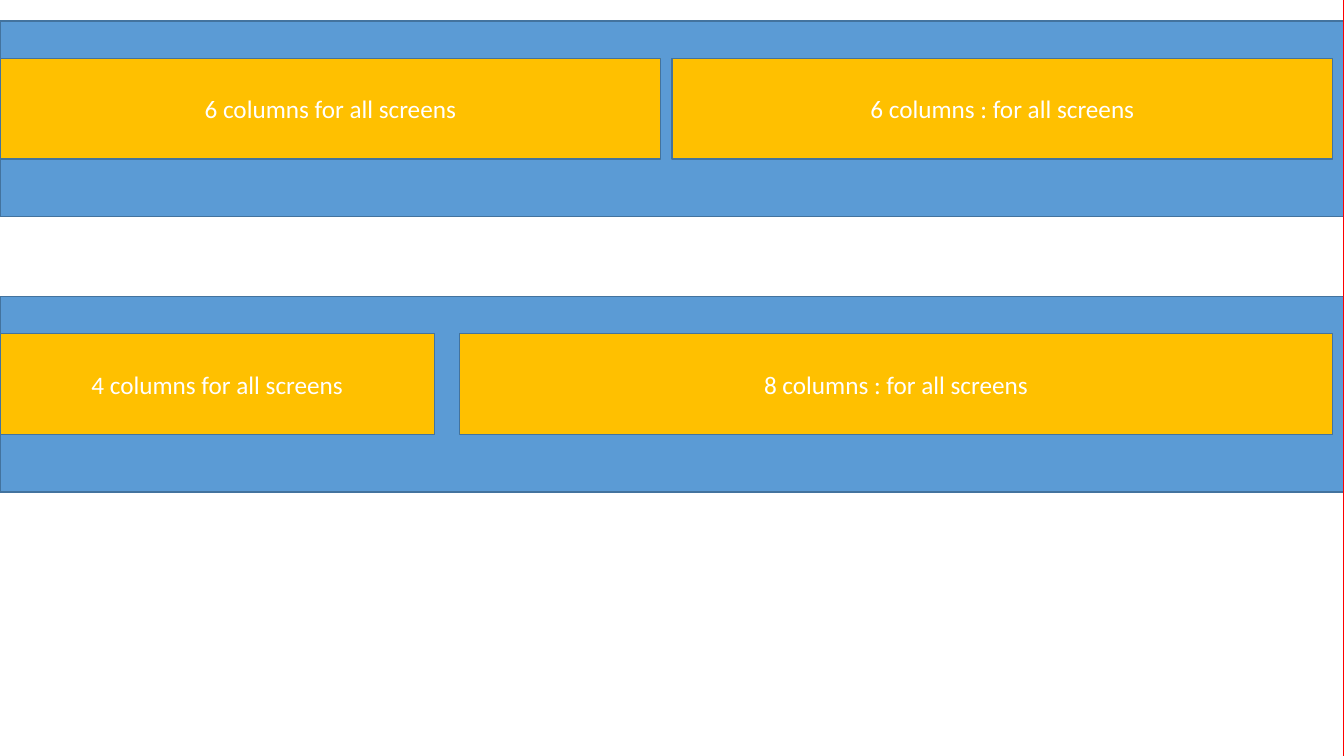
from pptx import Presentation
from pptx import util as u
from pptx.dml.color import RGBColor
from pptx.enum import shapes, text

SLIDE_WIDTH, SLIDE_HEIGHT = 13.333, 7.5
COLUMN = SLIDE_WIDTH / 12
BAND_HEIGHT, CELL_HEIGHT, CELL_DROP = 1.94, 1, 0.37
FIRST_BAND_TOP, BAND_PITCH = 0.21, 2.73
COLORS = {"band": "5B9BD5", "cell": "FFC000", "outline": "43739E",
          "label": "FFFFFF", "frame": "FF0000"}
GRID_ROWS = [
    [(0, 5.9, "6 columns for all screens"), (6, 5.9, "6 columns : for all screens")],
    [(0, 3.88, "4 columns for all screens"), (4.1, 7.8, "8 columns : for all screens")],
]


def color(name):
    """Return the named palette colour."""
    return RGBColor.from_string(COLORS[name])


def add_box(slide, left, top, width, height, fill=None, outline="outline"):
    """Add an outlined rectangle, measured in inches."""
    box = slide.shapes.add_shape(
        shapes.MSO_SHAPE.RECTANGLE,
        *(u.Inches(length) for length in (left, top, width, height)))
    box.shadow.inherit = False
    if fill:
        box.fill.solid()
        box.fill.fore_color.rgb = color(fill)
    else:
        box.fill.background()
    box.line.color.rgb = color(outline)
    box.line.width = u.Pt(1)
    return box


def write(box, wording, size=18, font="Calibri", ink="label"):
    """Write centred text in a box."""
    frame = box.text_frame
    frame.word_wrap = True
    frame.vertical_anchor = text.MSO_ANCHOR.MIDDLE
    paragraph = frame.paragraphs[0]
    paragraph.alignment = text.PP_ALIGN.CENTER
    run = paragraph.add_run()
    run.text = wording
    run.font.size = u.Pt(size)
    run.font.name = font
    run.font.color.rgb = color(ink)


def add_grid_row(slide, top, cells):
    """Add a full-width band holding cells placed by column."""
    add_box(slide, 0, top, SLIDE_WIDTH, BAND_HEIGHT, fill="band")
    for start, span, label in cells:
        cell = add_box(slide, start * COLUMN, top + CELL_DROP,
                       span * COLUMN, CELL_HEIGHT, fill="cell")
        write(cell, label)


def main():
    """Build and save the column layout slide."""
    deck = Presentation()
    deck.slide_width = u.Inches(SLIDE_WIDTH)
    deck.slide_height = u.Inches(SLIDE_HEIGHT)
    slide = deck.slides.add_slide(deck.slide_layouts[6])
    for index, cells in enumerate(GRID_ROWS):
        add_grid_row(slide, FIRST_BAND_TOP + index * BAND_PITCH, cells)
    add_box(slide, -0.17, -0.15, SLIDE_WIDTH + 0.17, 7.9, outline="frame")
    deck.save("out.pptx")


if __name__ == "__main__":
    main()
